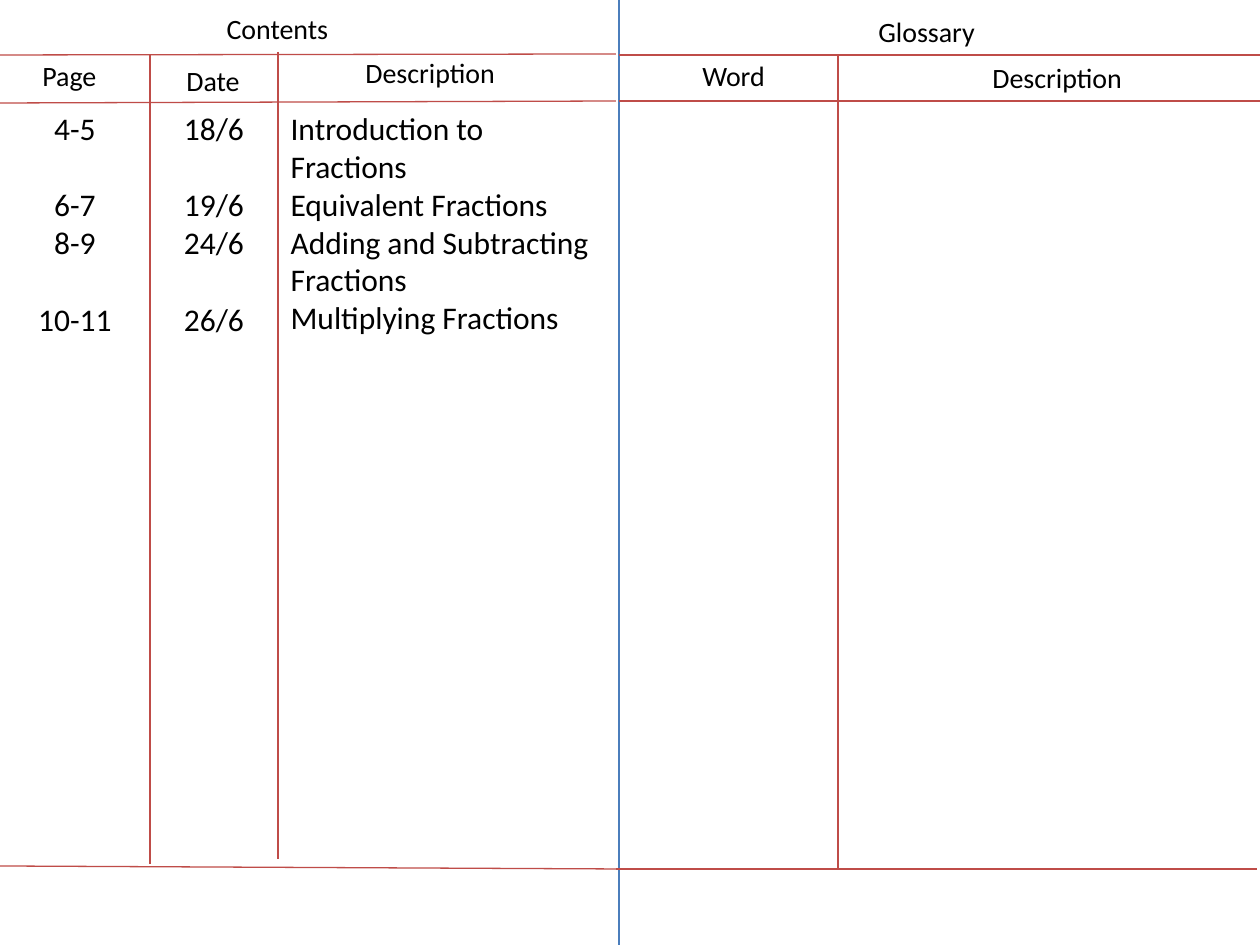
from pptx import Presentation
from pptx.dml.color import RGBColor
from pptx.enum.shapes import MSO_CONNECTOR
from pptx.enum.text import MSO_ANCHOR, MSO_AUTO_SIZE, PP_ALIGN
from pptx.oxml.xmlchemy import OxmlElement
from pptx.util import Emu, Pt

BLACK = RGBColor(0x00, 0x00, 0x00)
RED = RGBColor(0xBF, 0x4C, 0x48)
BLUE = RGBColor(0x4B, 0x7E, 0xBC)

PX_PER_INCH = 126
LINE_HEIGHT = 22  # points, one line of 18 pt text


def px(length):
    return Emu(round(length * 914400 / PX_PER_INCH))


def write(box, paragraphs, size=16, align=PP_ALIGN.LEFT, font="Calibri",
          color=BLACK, gaps=(), wrap=True):
    """Fill a box; gaps holds the paragraphs that have a line of space before."""
    frame = box.text_frame
    frame.word_wrap = wrap
    frame.auto_size = MSO_AUTO_SIZE.NONE
    frame.vertical_anchor = MSO_ANCHOR.TOP
    for index, text in enumerate(paragraphs):
        para = frame.paragraphs[0] if index == 0 else frame.add_paragraph()
        properties = para._p.get_or_add_pPr()
        properties.set("marL", "0")
        properties.set("indent", "0")
        properties.append(OxmlElement("a:buNone"))
        para.alignment = align
        para.space_before = Pt(LINE_HEIGHT if index in gaps else 0)
        span = para.add_run()
        span.text = text
        span.font.name = font
        span.font.size = Pt(size)
        span.font.color.rgb = color


class Notebook:
    """Style and current slide of the notebook spread."""

    line_width = Pt(0.75)

    def __init__(self, page):
        self.page = page

    def line(self, x1, y1, x2, y2, color=RED):
        rule = self.page.shapes.add_connector(
            MSO_CONNECTOR.STRAIGHT, px(x1), px(y1), px(x2), px(y2))
        rule.line.color.rgb = color
        rule.line.width = self.line_width
        rule._element.spPr.append(OxmlElement("a:effectLst"))

    def text(self, left, top, width, height, paragraphs, **style):
        box = self.page.shapes.add_textbox(
            px(left), px(top), px(width), px(height))
        write(box, paragraphs, **style)

    def placeholder(self, index, left, top, width, height, paragraphs, **style):
        box = self.page.placeholders[index]
        box.left, box.top = px(left), px(top)
        box.width, box.height = px(width), px(height)
        write(box, paragraphs, **style)


def main():
    deck = Presentation()
    deck.slide_width, deck.slide_height = px(1260), px(945)
    page = deck.slides.add_slide(deck.slide_layouts[1])
    notebook = Notebook(page)

    # Fold between the two pages
    notebook.line(619, 0, 619, 945, color=BLUE)

    # Rules of the contents page, then of the glossary page
    for ends in [
        (0, 55, 616, 54), (0, 103, 616, 101), (0, 866, 616, 869),
        (150, 55, 150, 864), (278, 52, 278, 859),
        (619, 55, 1260, 55), (619, 101, 1260, 101), (616, 869, 1257, 869),
        (838, 55, 838, 869),
    ]:
        notebook.line(*ends)

    # Page titles and column headings
    notebook.placeholder(0, 214, 5, 129, 47, ["Contents"], wrap=False)
    for left, top, width, heading in [
        (866, 8, 140, "Glossary"),
        (30, 52, 81, "Page"),
        (174, 57, 79, "Date"),
        (353, 49, 193, "Description"),
        (690, 52, 111, "Word"),
        (980, 54, 156, "Description"),
    ]:
        notebook.text(left, top, width, 47, [heading],
                      wrap=heading not in ("Page", "Date"))

    # Contents entries: a gap follows each description of two lines
    for left, width, entries in [
        (0, 150, ["4-5", "6-7", "8-9", "10-11"]),
        (150, 128, ["18/6", "19/6", "24/6", "26/6"]),
    ]:
        notebook.text(left, 103, width, 242, entries, size=18,
                      align=PP_ALIGN.CENTER, gaps=(1, 3))
    notebook.placeholder(1, 278, 103, 340, 276, [
        "Introduction to Fractions",
        "Equivalent Fractions",
        "Adding and Subtracting Fractions",
        "Multiplying Fractions",
    ], size=18)

    deck.save("out.pptx")


if __name__ == "__main__":
    main()
